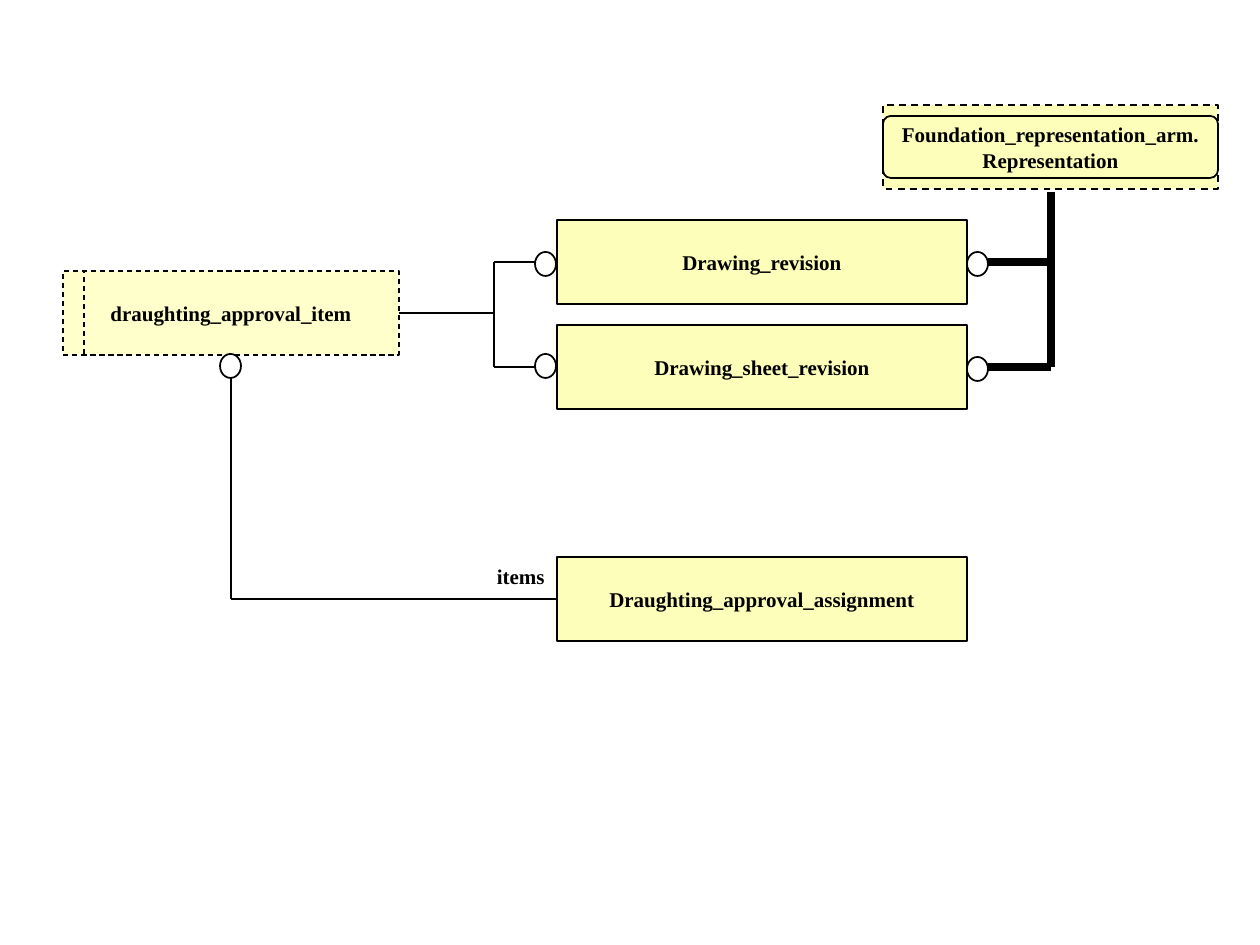
from pptx import Presentation
from pptx.dml.color import RGBColor
from pptx.enum.dml import MSO_LINE
from pptx.enum.shapes import MSO_CONNECTOR, MSO_SHAPE
from pptx.enum.text import MSO_ANCHOR, PP_ALIGN
from pptx.oxml.ns import qn
from pptx.util import Pt
from lxml import etree

SCALE = 914400 / 126
RECT, ROUND, OVAL = MSO_SHAPE.RECTANGLE, MSO_SHAPE.ROUNDED_RECTANGLE, MSO_SHAPE.OVAL
DASH, STRAIGHT = MSO_LINE.DASH, MSO_CONNECTOR.STRAIGHT
CENTER, RIGHT = PP_ALIGN.CENTER, PP_ALIGN.RIGHT
MIDDLE, TOP = MSO_ANCHOR.MIDDLE, MSO_ANCHOR.TOP
BLACK = RGBColor(0x00, 0x00, 0x00)
WHITE = RGBColor(0xFF, 0xFF, 0xFF)
YELLOW = RGBColor(0xFC, 0xFE, 0xB9)
CREAM = RGBColor(0xFF, 0xFF, 0xCC)
LEFT_SIDE, RIGHT_SIDE = 1, 3

# key: (lines of text, place, fill, line width, dash)
BOXES = {
    "parent": (["Foundation_representation_arm.", "Representation"],
               (883, 105, 335, 84), YELLOW, 1, DASH),
    "drawing": (["Drawing_revision"], (557, 220, 410, 84), YELLOW, 1, None),
    "sheet": (["Drawing_sheet_revision"], (557, 325, 410, 84), YELLOW, 1, None),
    "assign": (["Draughting_approval_assignment"],
               (557, 557, 410, 84), YELLOW, 1, None),
    "item": (["draughting_approval_item"], (63, 271, 336, 84), CREAM, 0.75, DASH),
}
FRAME = (883, 116, 335, 62)
LABEL = ("items", (484, 557, 73, 38))

# start, end, width, dash; a (box, side) pair joins the line to that box
LINES = [
    ((1051, 192), (1051, 367), 4.5, None),
    ((988, 262), (1051, 262), 4.5, None),
    ((988, 367), (1051, 367), 4.5, None),
    ((84, 354), (84, 271), 0.75, DASH),
    (("assign", LEFT_SIDE), (231, 599), 1, None),
    ((231, 378), (231, 599), 1, None),
    (("item", RIGHT_SIDE), (494, 313), 1, None),
    ((494, 367), (494, 262), 1, None),
    ((494, 367), (535, 367), 1, None),
    ((494, 262), (535, 262), 1, None),
]
DOT = (21, 24)
DOTS = [(967, 252), (967, 357), (220, 354), (535, 252), (535, 354)]


def emu(*px):
    return [round(n * SCALE) for n in px]


def style(line, width, dash=None):
    line.color.rgb = BLACK
    line.width = Pt(width)
    if dash:
        line.dash_style = dash


def add_shape(kind, place, fill=None, width=1, dash=None):
    shape = slide.shapes.add_shape(kind, *emu(*place))
    shape.shadow.inherit = False
    if fill is None:
        shape.fill.background()
    else:
        shape.fill.solid()
        shape.fill.fore_color.rgb = fill
    style(shape.line, width, dash)
    return shape


def write(shape, lines, align, anchor):
    frame = shape.text_frame
    frame.word_wrap = False
    frame.vertical_anchor = anchor
    frame.text = "\n".join(lines)
    for para in frame.paragraphs:
        para.alignment = align
        para.font.name = "Times New Roman"
        para.font.size = Pt(12)
        para.font.bold = True
        para.font.color.rgb = BLACK


def add_line(start, end, width, dash):
    joined = start[0] in BOXES
    first = end if joined else start
    line = slide.shapes.add_connector(STRAIGHT, *emu(*first, *end))
    if joined:
        key, side = start
        line.begin_connect(boxes[key], side)
    style(line.line, width, dash)
    etree.SubElement(line._element.spPr, qn("a:effectLst"))


prs = Presentation()
prs.slide_width, prs.slide_height = emu(1260, 945)
slide = prs.slides.add_slide(prs.slide_layouts[6])

boxes = {}
for key, (lines, place, fill, width, dash) in BOXES.items():
    boxes[key] = add_shape(RECT, place, fill, width, dash)
    write(boxes[key], lines, CENTER, MIDDLE)

add_shape(ROUND, FRAME).adjustments[0] = 0.125

for line in LINES:
    add_line(*line)
for spot in DOTS:
    add_shape(OVAL, spot + DOT, WHITE)

text, place = LABEL
write(slide.shapes.add_textbox(*emu(*place)), [text], RIGHT, TOP)

prs.save("out.pptx")
